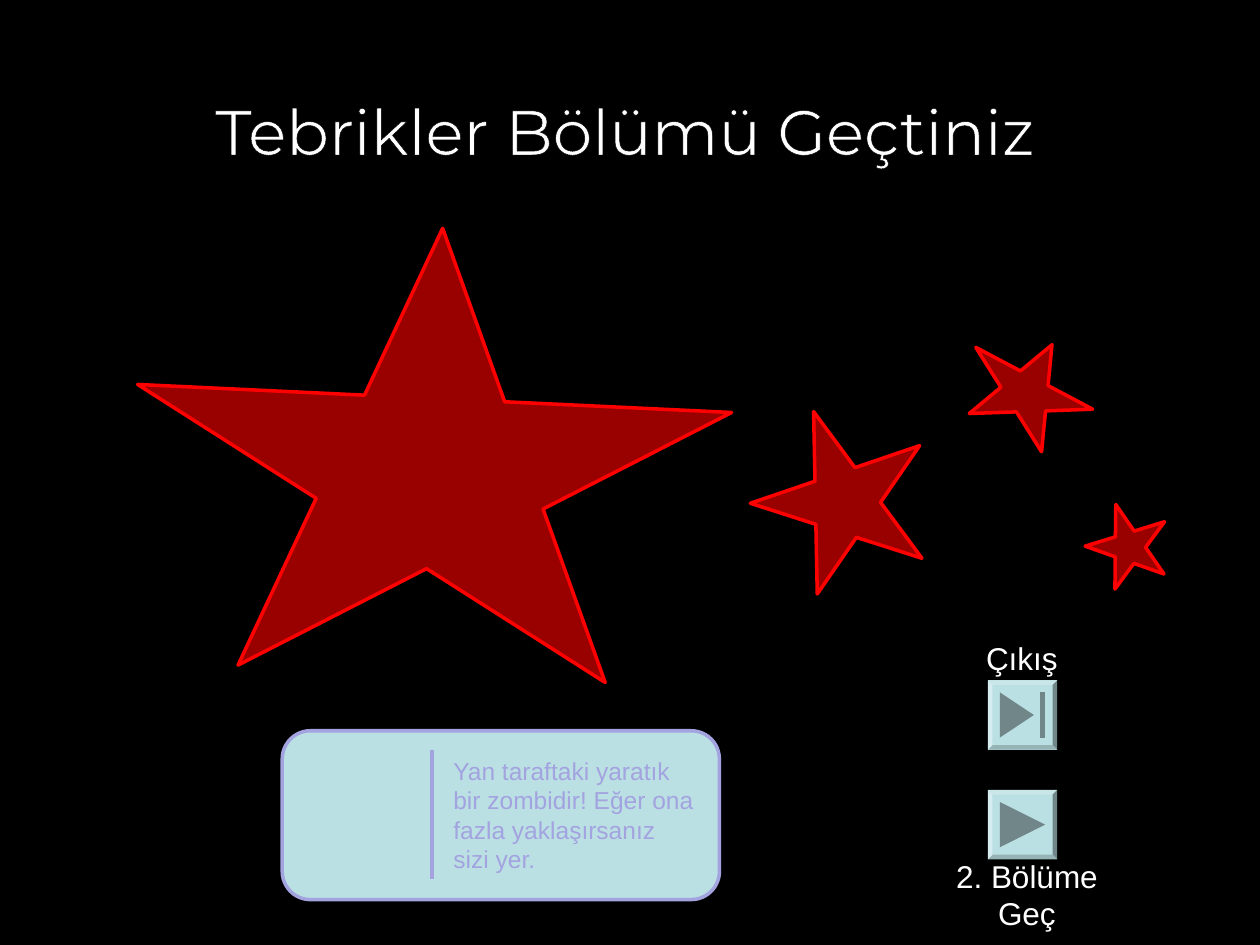
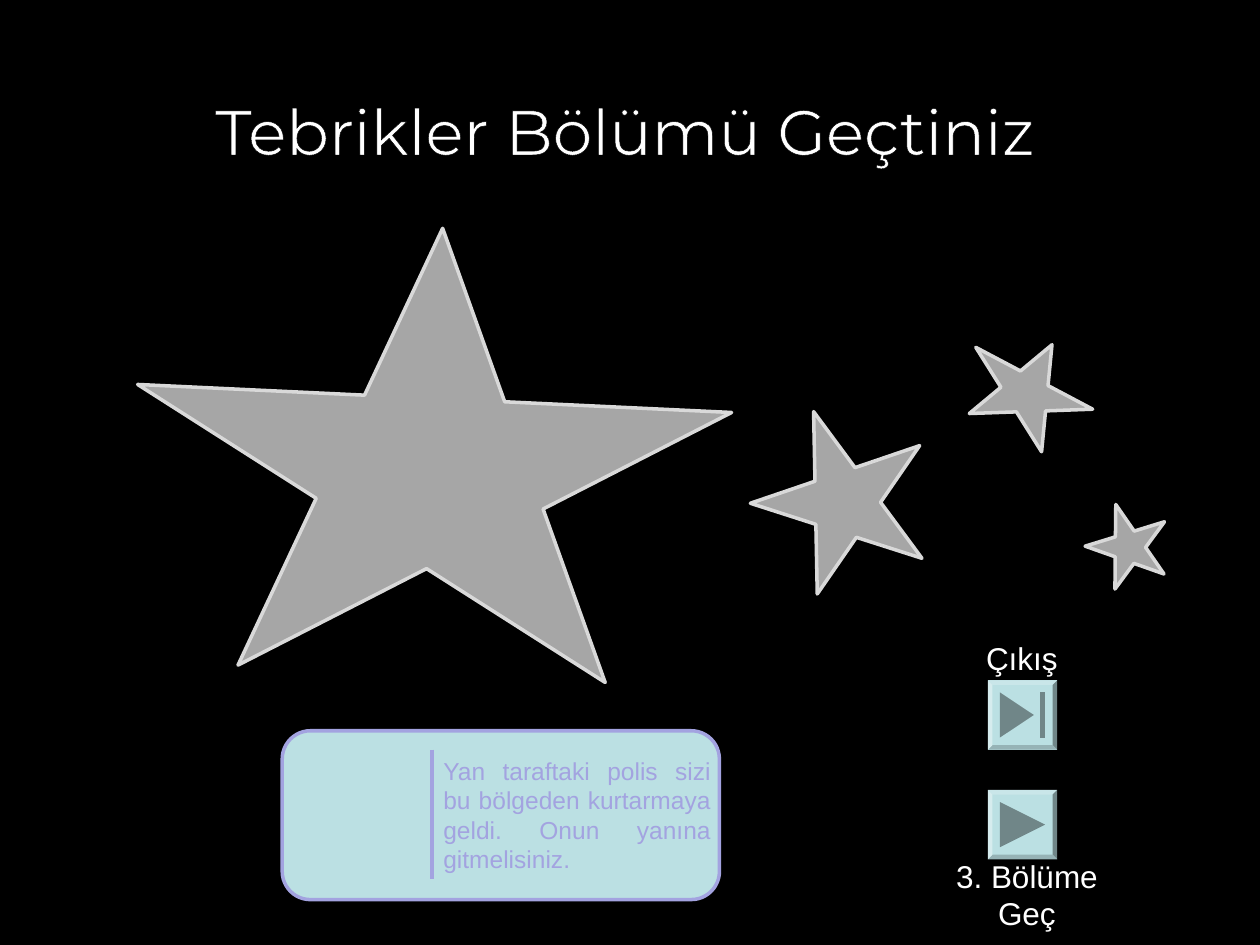
from dataclasses import dataclass

import pptx
import pptx.dml.color
import pptx.enum.shapes
import pptx.enum.text
import pptx.oxml
import pptx.oxml.ns
import pptx.presentation
import pptx.shapes.autoshape
import pptx.slide
import pptx.util

Pt = pptx.util.Pt
RGBColor = pptx.dml.color.RGBColor
Align = pptx.enum.text.PP_ALIGN
Preset = pptx.enum.shapes.MSO_SHAPE
Points = tuple[tuple[float, float], ...]

BLACK = RGBColor(0x00, 0x00, 0x00)
WHITE = RGBColor(0xFF, 0xFF, 0xFF)
AQUA = RGBColor(0xBB, 0xE0, 0xE3)
AQUA_LIGHT = RGBColor(0xC9, 0xE6, 0xE9)
AQUA_PALE = RGBColor(0xD6, 0xEC, 0xEE)
AQUA_SHADE = RGBColor(0x96, 0xB3, 0xB6)
AQUA_DARK = RGBColor(0x70, 0x86, 0x88)
LILAC = RGBColor(0xA3, 0xA3, 0xE0)
DARK_RED = RGBColor(0x99, 0x00, 0x00)
RED = RGBColor(0xFF, 0x00, 0x00)
GREY = RGBColor(0xA6, 0xA6, 0xA6)
LIGHT_GREY = RGBColor(0xD9, 0xD9, 0xD9)

LINE_WIDTH = 2
BUTTON_SIDE = 39.6
BUTTON_LEFT = 564.5
BEVEL = 2.6
ICON_START = 6.9
ICON_END = BUTTON_SIDE - ICON_START


@dataclass(frozen=True)
class Frame:
    left: float
    top: float
    width: float
    height: float

    def lengths(self) -> tuple[pptx.util.Length, ...]:
        return Pt(self.left), Pt(self.top), Pt(self.width), Pt(self.height)


@dataclass(frozen=True)
class Star:
    frame: Frame
    rotation: float


@dataclass(frozen=True)
class Label:
    frame: Frame
    text: str
    size: float
    color: RGBColor
    align: Align = Align.CENTER
    font: str = "Arial"
    wrap: bool = True


@dataclass(frozen=True)
class Button:
    top: float
    icon: tuple[Points, ...]


@dataclass(frozen=True)
class Level:
    star_fill: RGBColor
    star_line: RGBColor
    hint: Label
    next_text: str


STARS = (
    Star(Frame(77.04, 130.32, 339.84, 254.88), 2.7),
    Star(Frame(550.08, 193.68, 75.6, 56.88), 27.9),
    Star(Frame(620.64, 287.28, 47.52, 46.08), 342.9),
    Star(Frame(429.84, 232.56, 102.24, 99.36), 341.2),
)
CARD = Frame(161.28, 417.6, 249.84, 96.48)
TITLE = Label(Frame(76.3, 49, 561.6, 51.1), "Tebrikler Bölümü Geçtiniz", 36, WHITE,
              font="Montserrat", wrap=False)
EXIT = Label(Frame(541.44, 361.44, 84.96, 28.8), "Çıkış", 18, WHITE)
NEXT_FRAME = Frame(535.68, 486, 102.24, 50.4)


def triangle(tip: float) -> Points:
    return (ICON_START, ICON_START), (tip, BUTTON_SIDE / 2), (ICON_START, ICON_END)


EXIT_BAR = ((29.6, ICON_START), (ICON_END, ICON_START), (ICON_END, ICON_END), (29.6, ICON_END))
BUTTONS = (
    Button(451.44, (triangle(ICON_END),)),
    Button(388.8, (triangle(26.3), EXIT_BAR)),
)
LEVELS = (
    Level(DARK_RED, RED,
          Label(Frame(252, 428.4, 153.36, 74.88),
                "Yan taraftaki yaratık bir zombidir! Eğer ona fazla yaklaşırsanız sizi yer.",
                14, LILAC, Align.LEFT),
          "2. Bölüme Geç"),
    Level(GREY, LIGHT_GREY,
          Label(Frame(246.24, 428.4, 167.04, 74.88),
                "Yan taraftaki polis sizi bu bölgeden kurtarmaya geldi. Onun yanına gitmelisiniz.",
                14, LILAC, Align.JUSTIFY),
          "3. Bölüme Geç"),
)


def paint(shape: pptx.shapes.autoshape.Shape, fill: RGBColor, line: RGBColor | None = None) -> None:
    shape.shadow.inherit = False
    shape.fill.solid()
    shape.fill.fore_color.rgb = fill
    if line is None:
        shape.line.fill.background()
    else:
        shape.line.color.rgb = line
        shape.line.width = Pt(LINE_WIDTH)


def add_label(page: pptx.slide.Slide, label: Label) -> pptx.shapes.autoshape.Shape:
    box = page.shapes.add_textbox(*label.frame.lengths())
    box.text_frame.text = label.text
    box.text_frame.word_wrap = label.wrap
    para = box.text_frame.paragraphs[0]
    para.alignment = label.align
    span = para.runs[0]
    span.font.name = label.font
    span.font.size = Pt(label.size)
    span.font.color.rgb = label.color
    return box


def add_title(page: pptx.slide.Slide) -> None:
    span = add_label(page, TITLE).text_frame.paragraphs[0].runs[0]
    outline = pptx.oxml.parse_xml(
        f'<a:ln {pptx.oxml.ns.nsdecls("a")} w="{Pt(0.75)}">'
        f'<a:solidFill><a:srgbClr val="{BLACK}"/></a:solidFill></a:ln>'
    )
    span.font.fill
    span.font._element.insert(0, outline)


def add_card(page: pptx.slide.Slide, hint: Label) -> None:
    card = page.shapes.add_shape(Preset.ROUNDED_RECTANGLE, *CARD.lengths())
    card.adjustments[0] = 0.167
    paint(card, AQUA, LILAC)
    divider = page.shapes.add_connector(
        pptx.enum.shapes.MSO_CONNECTOR.STRAIGHT, Pt(246.96), Pt(428.4), Pt(246.96), Pt(502.56))
    divider.line.color.rgb = LILAC
    divider.line.width = Pt(LINE_WIDTH)
    divider._element.spPr.append(
        pptx.oxml.parse_xml(f'<a:effectLst {pptx.oxml.ns.nsdecls("a")}/>'))
    add_label(page, hint)


def add_star(page: pptx.slide.Slide, star: Star, level: Level) -> None:
    shape = page.shapes.add_shape(Preset.STAR_5_POINT, *star.frame.lengths())
    shape.rotation = star.rotation
    paint(shape, level.star_fill, level.star_line)


def add_polygon(page: pptx.slide.Slide, top: float, points: Points, fill: RGBColor) -> None:
    corners = [(Pt(BUTTON_LEFT + x), Pt(top + y)) for x, y in points]
    builder = page.shapes.build_freeform(*corners[0])
    builder.add_line_segments(corners[1:], close=True)
    paint(builder.convert_to_shape(), fill)


def add_button(page: pptx.slide.Slide, button: Button) -> None:
    near, far = BEVEL, BUTTON_SIDE - BEVEL
    outer = ((0, 0), (BUTTON_SIDE, 0), (BUTTON_SIDE, BUTTON_SIDE), (0, BUTTON_SIDE))
    inner = ((near, near), (far, near), (far, far), (near, far))
    add_polygon(page, button.top, outer, AQUA)
    for side, color in enumerate((AQUA_LIGHT, AQUA_DARK, AQUA_SHADE, AQUA_PALE)):
        after = (side + 1) % 4
        add_polygon(page, button.top,
                    (outer[side], outer[after], inner[after], inner[side]), color)
    for points in button.icon:
        add_polygon(page, button.top, points, AQUA_DARK)


def add_level(deck: pptx.presentation.Presentation, level: Level) -> None:
    page = deck.slides.add_slide(deck.slide_layouts[6])
    page.background.fill.solid()
    page.background.fill.fore_color.rgb = BLACK
    add_card(page, level.hint)
    for star in STARS:
        add_star(page, star, level)
    add_title(page)
    add_label(page, EXIT)
    add_label(page, Label(NEXT_FRAME, level.next_text, 18, WHITE))
    for button in BUTTONS:
        add_button(page, button)


def main() -> None:
    deck = pptx.Presentation()
    deck.slide_width, deck.slide_height = Pt(720), Pt(540)
    for level in LEVELS:
        add_level(deck, level)
    deck.save("out.pptx")


if __name__ == "__main__":
    main()
